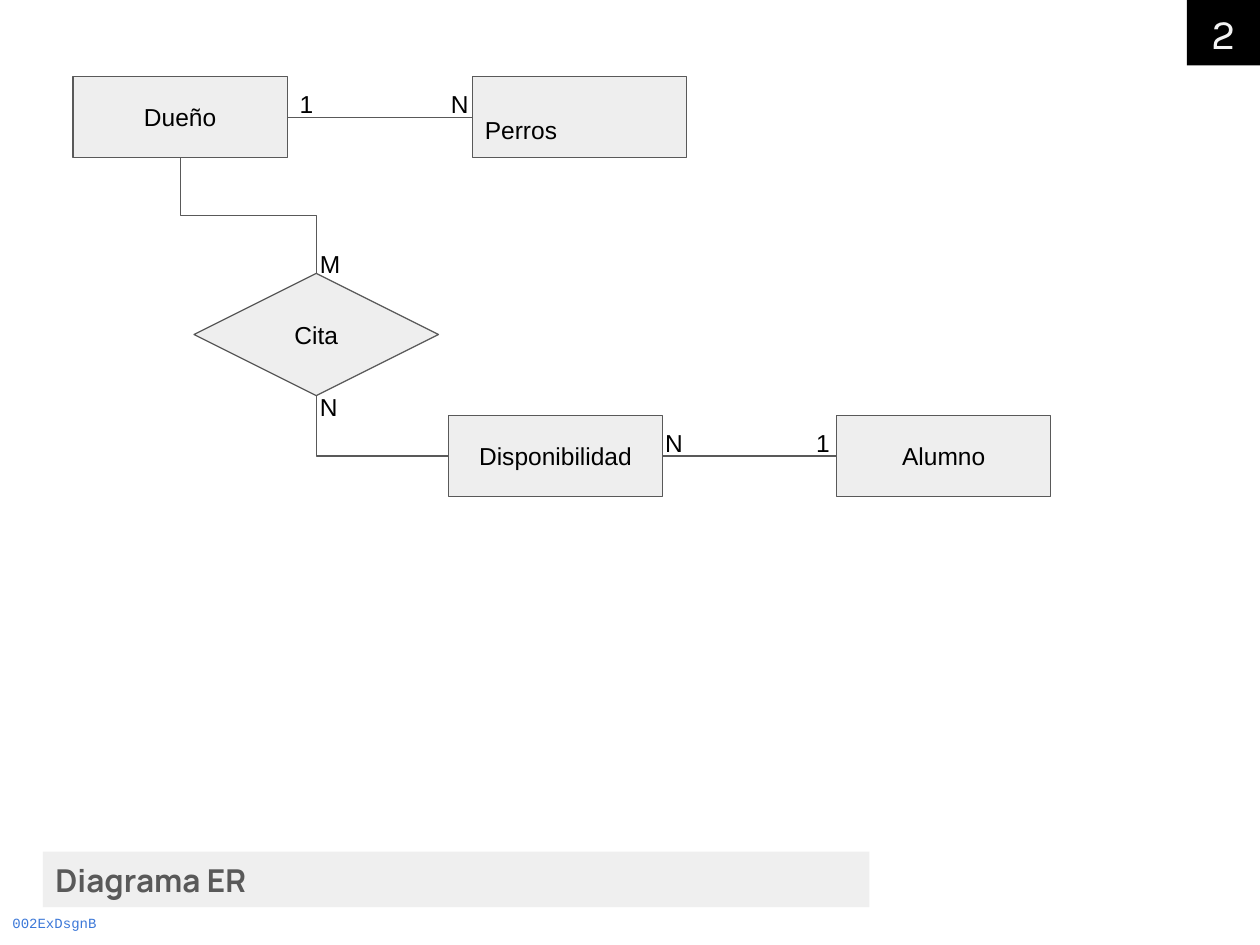
from lxml import etree
from pptx import Presentation
from pptx.dml.color import RGBColor
from pptx.enum.shapes import MSO_CONNECTOR, MSO_SHAPE
from pptx.enum.text import MSO_ANCHOR, MSO_AUTO_SIZE, PP_ALIGN
from pptx.oxml.ns import qn
from pptx.util import Inches, Pt

STRAIGHT, ELBOW = MSO_CONNECTOR.STRAIGHT, MSO_CONNECTOR.ELBOW
RECTANGLE, DECISION = MSO_SHAPE.RECTANGLE, MSO_SHAPE.FLOWCHART_DECISION
TOP, MIDDLE, BOTTOM = MSO_ANCHOR.TOP, MSO_ANCHOR.MIDDLE, MSO_ANCHOR.BOTTOM
LEFT, CENTER = PP_ALIGN.LEFT, PP_ALIGN.CENTER
NO_AUTOFIT = MSO_AUTO_SIZE.NONE

BLACK = RGBColor(0x00, 0x00, 0x00)
GRAY = RGBColor(0x59, 0x59, 0x59)
BOX_FILL = RGBColor(0xEE, 0xEE, 0xEE)
BAR_FILL = RGBColor(0xEF, 0xEF, 0xEF)
OFF_WHITE = RGBColor(0xF3, 0xF3, 0xF3)
BLUE = RGBColor(0x3C, 0x78, 0xD8)

BOX_WIDTH, BOX_HEIGHT = 1.7, 0.64
SIDE_TOP, SIDE_LEFT, SIDE_BOTTOM, SIDE_RIGHT = range(4)


def write(shape, text, font="Arial", size=14, color=BLACK, bold=False,
          align=LEFT, anchor=TOP):
    frame = shape.text_frame
    frame.auto_size = NO_AUTOFIT
    frame.word_wrap = True
    frame.vertical_anchor = anchor
    frame.margin_left = frame.margin_right = Inches(0.1)
    frame.margin_top = frame.margin_bottom = Inches(0.1)
    para = frame.paragraphs[0]
    para.alignment = align
    span = para.add_run()
    span.text = text
    span.font.name = font
    span.font.size = Pt(size)
    span.font.bold = bold
    span.font.color.rgb = color


def connect(kind, start, start_side, end, end_side):
    """Join two shapes with a thin gray line."""
    line = page.shapes.add_connector(kind, 0, 0, 0, 0)
    line.begin_connect(start, start_side)
    line.end_connect(end, end_side)
    line.line.color.rgb = GRAY
    line.line.width = Pt(0.75)
    etree.SubElement(line._element.spPr, qn("a:effectLst"))
    return line


deck = Presentation()
deck.slide_width, deck.slide_height = Inches(10), Inches(7.5)
page = deck.slides.add_slide(deck.slide_layouts[5])

code = page.shapes.add_textbox(Inches(0), Inches(7.16), Inches(1.2), Inches(0.34))
write(code, "002ExDsgnB", font="Courier New", size=8, color=BLUE)

title = page.shapes.title
title.left, title.top = Inches(0.34), Inches(6.76)
title.width, title.height = Inches(6.56), Inches(0.44)
title.fill.solid()
title.fill.fore_color.rgb = BAR_FILL
write(title, "Diagrama ER", font="Manrope", size=18, color=GRAY, bold=True,
      anchor=MIDDLE)

number = page.shapes.add_shape(RECTANGLE, Inches(9.42), Inches(0),
                               Inches(0.58), Inches(0.52))
number.shadow.inherit = False
number.fill.solid()
number.fill.fore_color.rgb = BLACK
number.line.fill.background()
write(number, "2", font="Karla", size=24, color=OFF_WHITE, align=CENTER,
      anchor=MIDDLE)

# Entities and the relationship between them
nodes = {}
for name, kind, left, top, width, height, align, anchor in [
    ("Dueño", RECTANGLE, 0.58, 0.61, BOX_WIDTH, BOX_HEIGHT, CENTER, MIDDLE),
    ("Perros", RECTANGLE, 3.75, 0.61, BOX_WIDTH, BOX_HEIGHT, LEFT, BOTTOM),
    ("Cita", DECISION, 1.54, 2.17, 1.94, 0.97, CENTER, MIDDLE),
    ("Disponibilidad", RECTANGLE, 3.56, 3.3, BOX_WIDTH, BOX_HEIGHT, CENTER, MIDDLE),
    ("Alumno", RECTANGLE, 6.64, 3.3, BOX_WIDTH, BOX_HEIGHT, CENTER, MIDDLE),
]:
    node = page.shapes.add_shape(kind, Inches(left), Inches(top),
                                 Inches(width), Inches(height))
    node.shadow.inherit = False
    node.fill.solid()
    node.fill.fore_color.rgb = BOX_FILL
    node.line.color.rgb = GRAY
    node.line.width = Pt(0.75)
    write(node, name, align=align, anchor=anchor)
    nodes[name] = node

for start, end in [("Dueño", "Perros"), ("Disponibilidad", "Alumno")]:
    connect(STRAIGHT, nodes[start], SIDE_RIGHT, nodes[end], SIDE_LEFT)

# Elbows that leave downwards: the preset is turned 270 degrees and mirrored
for start, end, end_side, preset in [
    ("Dueño", "Cita", SIDE_TOP, "bentConnector3"),
    ("Cita", "Disponibilidad", SIDE_LEFT, "bentConnector2"),
]:
    elbow = connect(ELBOW, nodes[start], SIDE_BOTTOM, nodes[end], end_side)
    across, down = elbow.width, elbow.height
    shift = (across - down) // 2
    elbow.left, elbow.top = elbow.left + shift, elbow.top - shift
    elbow.width, elbow.height = down, across
    properties = elbow._element.spPr
    transform = properties.find(qn("a:xfrm"))
    transform.set("rot", "16200000")
    transform.set("flipH", "1")
    properties.find(qn("a:prstGeom")).set("prst", preset)

for text, left, top in [
    ("1", 2.28, 0.61), ("N", 3.48, 0.61),
    ("M", 2.44, 1.88), ("N", 2.44, 3.01),
    ("N", 5.18, 3.3), ("1", 6.38, 3.3),
]:
    label = page.shapes.add_textbox(Inches(left), Inches(top),
                                    Inches(0.27), Inches(0.44))
    write(label, text)

deck.save("out.pptx")
